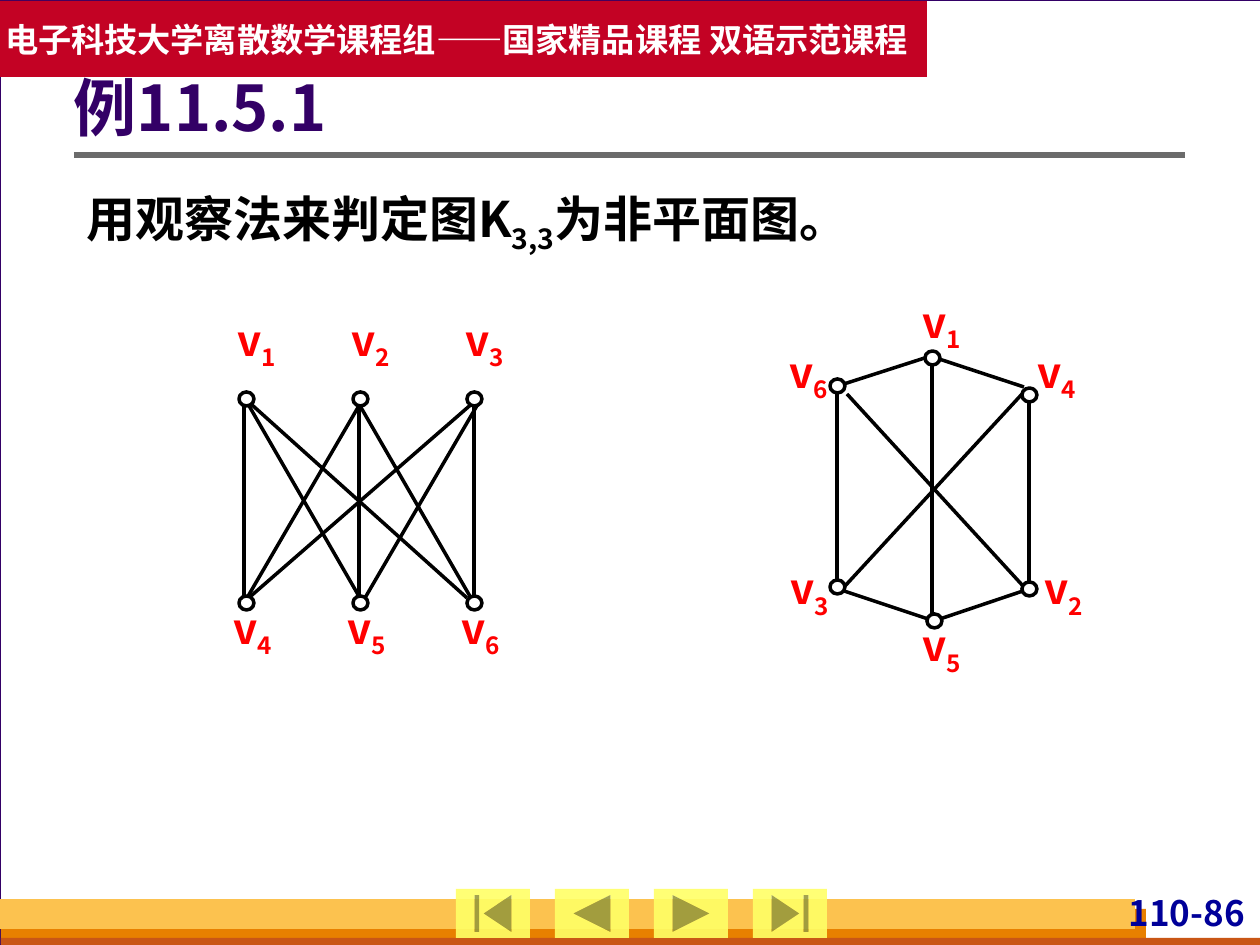
from lxml.etree import SubElement
from pptx import Presentation
from pptx.dml.color import RGBColor
from pptx.enum.shapes import MSO_CONNECTOR, MSO_SHAPE
from pptx.enum.text import MSO_ANCHOR, MSO_AUTO_SIZE, PP_ALIGN
from pptx.oxml.ns import qn
from pptx.util import Emu, Pt

FONT = "Noto Sans CJK SC"
EMU_PER_PX = 914400 / 126
SUBSCRIPT = "-25000"

BIPARTITE_EDGES = [
    (21, 90, 21, 284), (25, 90, 137, 284), (28, 90, 244, 284),
    (137, 90, 24, 284), (136, 90, 136, 284), (136, 90, 248, 284),
    (251, 88, 28, 282), (255, 90, 142, 284), (251, 90, 251, 284),
]
HEXAGON_EDGES = [
    (157, 62, 245, 91), (155, 59, 65, 88), (250, 97, 250, 290),
    (153, 59, 153, 326), (58, 93, 58, 287), (245, 291, 68, 98),
    (244, 97, 66, 290), (244, 295, 155, 325), (65, 295, 155, 325),
]
HEXAGON_VERTICES = {
    "1": ((146, 55), (133, 0)),
    "2": ((243, 286), (255, 267)),
    "3": ((51, 284), (1, 267)),
    "4": ((243, 92), (248, 50)),
    "5": ((148, 318), (133, 324)),
    "6": ((51, 83), (0, 50)),
}


def px(value):
    return Emu(round(value * EMU_PER_PX))


def color(value):
    return RGBColor.from_string(value)


def add_box(shapes, kind, box, fill, line=None, width=0.75):
    shape = shapes.add_shape(kind, *map(px, box))
    shape.shadow.inherit = False
    shape.fill.solid()
    shape.fill.fore_color.rgb = color(fill)
    if line:
        shape.line.color.rgb = color(line)
        shape.line.width = Pt(width)
    else:
        shape.line.fill.background()
    return shape


def add_line(shapes, start, end, line, width):
    connector = shapes.add_connector(MSO_CONNECTOR.STRAIGHT, *map(px, start + end))
    connector.line.color.rgb = color(line)
    connector.line.width = Pt(width)
    SubElement(connector._element.spPr, qn("a:effectLst"))


def write(shape, pieces, size, text_color, insets, align=PP_ALIGN.LEFT,
          anchor=MSO_ANCHOR.TOP, wrap=True, spacing=None, grow=False):
    frame = shape.text_frame
    frame.margin_left, frame.margin_top, frame.margin_right, frame.margin_bottom = map(px, insets)
    frame.vertical_anchor = anchor
    frame.auto_size = MSO_AUTO_SIZE.SHAPE_TO_FIT_TEXT if grow else MSO_AUTO_SIZE.NONE
    frame.word_wrap = wrap
    paragraph = frame.paragraphs[0]
    paragraph.alignment = align
    if spacing:
        paragraph.line_spacing = spacing
    for index, piece in enumerate(pieces):
        run = paragraph.add_run()
        run.text = piece
        run.font.name = FONT
        run.font.size = Pt(size)
        run.font.bold = True
        run.font.color.rgb = color(text_color)
        properties = run.font._element
        SubElement(properties, qn("a:ea"), typeface=FONT)
        if index % 2:
            properties.set("baseline", SUBSCRIPT)


def add_text(shapes, box, pieces, size, text_color, insets, **options):
    write(shapes.add_textbox(*map(px, box)), pieces, size, text_color, insets, **options)


def add_footer(slide, left, top):
    shapes = slide.shapes
    add_box(shapes, MSO_SHAPE.RECTANGLE, (left + 1, top + 10, 1145, 35), "E88000")
    add_box(shapes, MSO_SHAPE.RECTANGLE, (left + 1, top + 39, 1260, 10), "C95616")
    add_box(shapes, MSO_SHAPE.RECTANGLE, (left, top, 1135, 30), "FCC24F")
    add_text(shapes, (left + 1096, top - 7, 154, 48), ["110-86"], 20, "000099",
             (5, 0, 5, 0), align=PP_ALIGN.RIGHT, grow=True)


def add_navigation(slide, left, top):
    kinds = [
        MSO_SHAPE.ACTION_BUTTON_BEGINNING,
        MSO_SHAPE.ACTION_BUTTON_BACK_OR_PREVIOUS,
        MSO_SHAPE.ACTION_BUTTON_FORWARD_OR_NEXT,
        MSO_SHAPE.ACTION_BUTTON_END,
    ]
    for index, kind in enumerate(kinds):
        button = add_box(slide.shapes, kind, (left + 99 * index, top, 74, 49), "FFFF66")
        fill_color = button._element.spPr.find(qn("a:solidFill"))[0]
        SubElement(fill_color, qn("a:alpha"), val="90000")


def add_header(slide, left, top, width, height):
    banner = add_box(slide.shapes, MSO_SHAPE.RECTANGLE, (left, top, width, height), "C30224")
    write(banner, ["电子科技大学离散数学课程组——国家精品课程 双语示范课程"], 19, "FFFFFF",
          (5, 6, 5, 6), anchor=MSO_ANCHOR.MIDDLE, wrap=False)


def add_content(slide, left, top, width):
    shapes = slide.shapes
    add_line(shapes, (left, top + 107), (left + width, top + 107), "6B6B6B", 3)
    add_text(shapes, (left, top, width, 127), ["例11.5.1"], 36, "330066",
             (0, 6, 13, 6), anchor=MSO_ANCHOR.MIDDLE, spacing=0.9)
    add_text(shapes, (left, top + 121, width, 93),
             ["用观察法来判定图K", "3,3", "为非平面图。"], 28, "000000",
             (13, 6, 13, 6), align=PP_ALIGN.JUSTIFY, spacing=1.2)


def bipartite_vertices():
    vertices = {}
    for index in range(3):
        offset = 114 * index
        vertices[str(index + 1)] = ((16 + offset, 78), (4 + offset, 0))
        vertices[str(index + 4)] = ((16 + offset, 282), (offset, 288))
    return vertices


def add_graph(slide, left, top, vertices, edges):
    shapes = slide.shapes.add_group_shape().shapes
    for x1, y1, x2, y2 in edges:
        add_line(shapes, (left + x1, top + y1), (left + x2, top + y2), "000000", 2)
    for number, ((x, y), (label_x, label_y)) in vertices.items():
        add_box(shapes, MSO_SHAPE.OVAL, (left + x, top + y, 15, 14), "FFFFFF", "000000", 2)
        add_text(shapes, (left + label_x, top + label_y, 59, 58), ["v", number], 24,
                 "FF0000", (0, 0, 0, 0), align=PP_ALIGN.CENTER, grow=True)


def main():
    presentation = Presentation()
    presentation.slide_width, presentation.slide_height = px(1260), px(945)
    slide = presentation.slides.add_slide(presentation.slide_layouts[6])
    slide.background.fill.solid()
    slide.background.fill.fore_color.rgb = color("D8DADA")
    add_box(slide.shapes, MSO_SHAPE.RECTANGLE, (0, 0, 1261, 945), "FFFFFF", "330066")
    add_footer(slide, 0, 899)
    add_navigation(slide, 456, 889)
    add_header(slide, 0, 1, 927, 76)
    add_content(slide, 74, 48, 1111)
    add_graph(slide, 223, 314, bipartite_vertices(), BIPARTITE_EDGES)
    add_graph(slide, 779, 296, HEXAGON_VERTICES, HEXAGON_EDGES)
    presentation.save("out.pptx")


if __name__ == "__main__":
    main()
